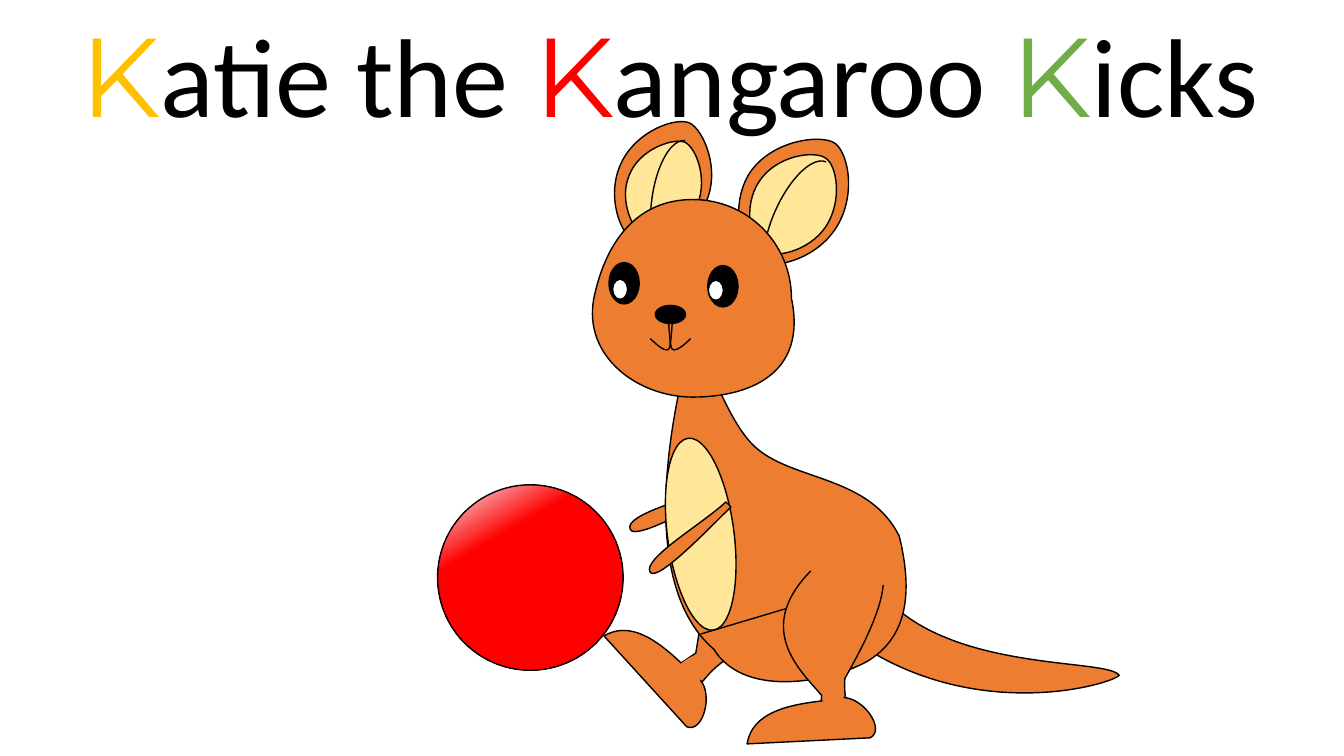
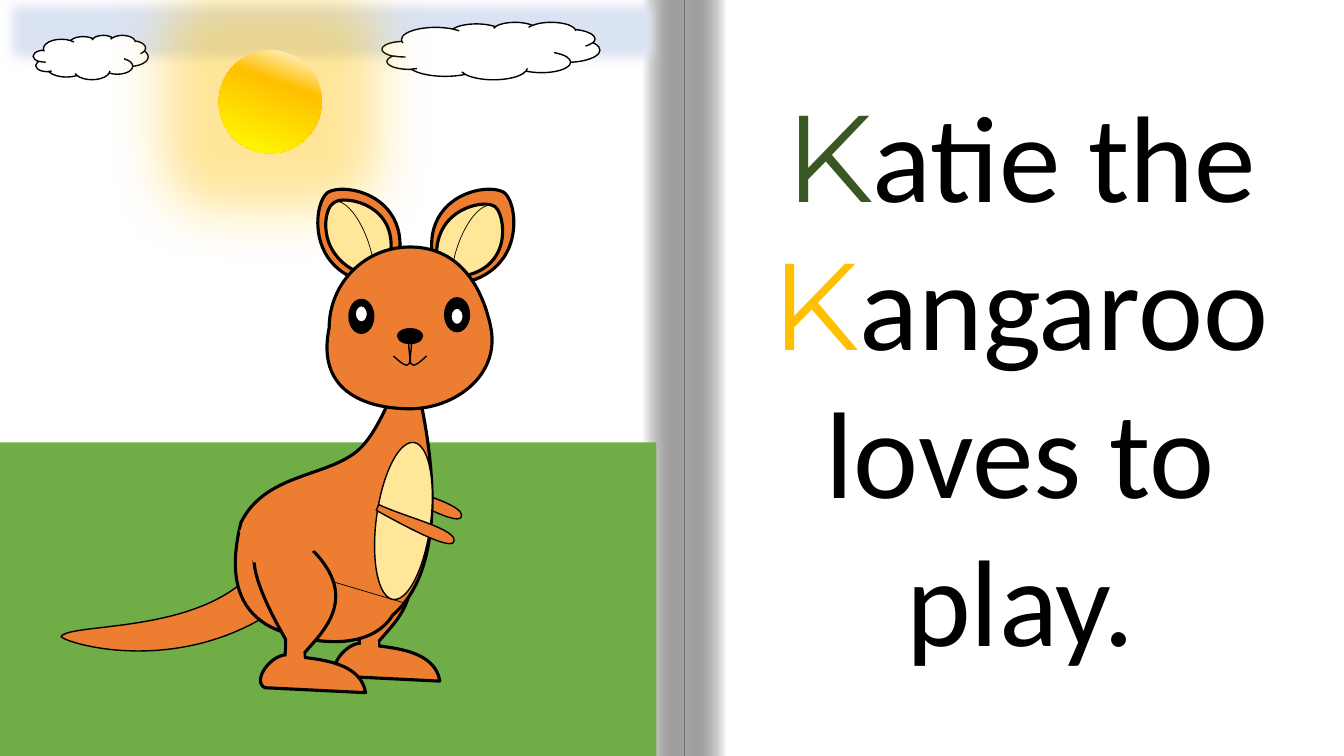
from dataclasses import dataclass
from math import cos, radians, sin

from lxml.etree import SubElement
from pptx import Presentation
from pptx.dml.color import RGBColor
from pptx.enum.shapes import MSO_CONNECTOR, MSO_SHAPE
from pptx.enum.text import MSO_ANCHOR, MSO_AUTO_SIZE, PP_ALIGN
from pptx.oxml.ns import qn
from pptx.util import Inches, Pt

W, H = 13.33, 7.5
BLACK = RGBColor(0x00, 0x00, 0x00)
WHITE = RGBColor(0xFF, 0xFF, 0xFF)
FUR = RGBColor(0xED, 0x7D, 0x31)
CREAM = RGBColor(0xFF, 0xE6, 0x99)
RED = RGBColor(0xFF, 0x00, 0x00)
SHINE = RGBColor(0xF6, 0xF8, 0xFC)
GOLD = RGBColor(0xFF, 0xC0, 0x00)
YELLOW = RGBColor(0xFF, 0xFF, 0x00)
GREEN = RGBColor(0x70, 0xAD, 0x47)
DARK_GREEN = RGBColor(0x38, 0x57, 0x23)
SKY = RGBColor(0xDA, 0xE3, 0xF3)


@dataclass
class Outline:
    """A start point, then lines (x, y) and curves (x1, y1, x2, y2, x, y); turn tilts its frame."""
    segs: tuple
    turn: float = 0

    def shift(self, dx, dy):
        return Outline(tuple(tuple(v + (dy if i % 2 else dx) for i, v in enumerate(seg))
                             for seg in self.segs), self.turn)

    def mirror(self, axis):
        return Outline(tuple(tuple(v if i % 2 else 2 * axis - v for i, v in enumerate(seg))
                             for seg in self.segs), -self.turn)


# Outlines on a grid of W columns by H rows.
TAIL = Outline(((8.68, 5.8), (9.29, 6.69, 10.98, 6.52, 11.1, 6.7),
                (11.05, 6.78, 9.63, 7.22, 8.39, 6.3), (8.68, 5.8)), 30.5)
BODY = Outline(((8.62, 6.55), (8.31, 6.74, 7.4, 6.96, 7.08, 6.44),
                (6.23, 5.71, 6.76, 3.76, 6.84, 3.43), (6.91, 3.1, 7.14, 4.16, 7.52, 4.46),
                (7.9, 4.77, 8.63, 4.73, 8.92, 5.32), (9.09, 6.01, 8.92, 6.36, 8.62, 6.55)), -29.7)
HEAD = Outline(((5.89, 2.96), (6.01, 2.38, 6.33, 1.98, 6.87, 1.98),
                (7.42, 1.98, 7.85, 2.42, 7.85, 2.96), (8.01, 3.72, 7.42, 3.94, 6.87, 3.94),
                (6.33, 3.94, 5.78, 3.54, 5.89, 2.96)))
HIP = Outline(((8.94, 5.41), (8.07, 5.34, 8.12, 5.57, 7.99, 5.62),
               (7.97, 5.68, 8.62, 5.83, 8.77, 5.8), (8.94, 5.41)), -83.7)
THIGH = Outline(((8.12, 5.59), (8.55, 5.5), (8.89, 5.56, 8.81, 5.98, 8.38, 6.73),
                 (8.36, 7.01, 8.47, 7.12, 8.4, 7.22), (8.36, 7.18, 8.15, 7.32, 8.11, 7.28),
                 (8.15, 6.9), (7.94, 6.65, 7.43, 6.21, 8.12, 5.59)))
FOOT = Outline(((7.41, 7.38), (7.48, 6.94, 8.17, 6.98, 8.35, 6.92),
                (8.56, 6.91, 8.79, 7.24, 8.63, 7.32), (7.41, 7.38)))
ANKLE = Outline(((8.34, 6.67), (8.11, 6.74, 8.18, 6.94, 8.15, 7),
                 (8.16, 7.06, 8.35, 7.1, 8.38, 7.05), (8.34, 6.67)), -105)
ARM = Outline(((7.16, 4.8), (7.19, 4.87), (7.04, 4.95, 6.29, 5.38, 6.25, 5.25),
               (6.19, 5.1, 6.85, 4.95, 7.16, 4.8)), 63.6)
MOUTH = Outline(((0, 0.03), (0.07, 0.1, -0.13, 0.56, 0.2, 0.24)))

KICK_THIGH = Outline(((7.9, 5.63), (8.24, 5.9), (8.41, 6.19, 8.03, 6.4, 7.19, 6.55),
                      (6.96, 6.71, 6.94, 6.86, 6.82, 6.87), (6.83, 6.82, 6.58, 6.74, 6.59, 6.69),
                      (6.9, 6.48), (6.96, 6.16, 6.98, 5.49, 7.9, 5.63)), 50.5)
KICK_FOOT = Outline(((5.99, 6.31), (6.37, 6.08, 6.78, 6.64, 6.94, 6.74),
                     (7.08, 6.89, 6.97, 7.28, 6.81, 7.21), (5.99, 6.31)), 50.5)
KICK_ANKLE = Outline(((7.12, 6.55), (6.87, 6.41, 6.77, 6.59, 6.71, 6.62),
                      (6.67, 6.66, 6.8, 6.84, 6.87, 6.83), (7.12, 6.55)), -54.9)
KICK_ARM = Outline(((7.2, 4.98), (7.25, 5.03), (7.12, 5.15, 6.53, 5.78, 6.45, 5.68),
                    (6.36, 5.55, 6.95, 5.21, 7.2, 4.98)), 46.6)
KICK_NEAR_EAR = Outline(((8.28, 2.28), (8.5, 1.96, 8.42, 1.52, 8.28, 1.42),
                         (8.14, 1.33, 7.66, 1.39, 7.44, 1.71), (7.23, 2.03, 7.35, 2.49, 7.49, 2.59),
                         (7.63, 2.68, 8.06, 2.6, 8.28, 2.28)), 34)
KICK_NEAR_INNER = Outline(((8.19, 2.25), (8.36, 1.99, 8.3, 1.64, 8.19, 1.57),
                           (8.08, 1.49, 7.7, 1.54, 7.53, 1.8), (7.36, 2.05, 7.45, 2.42, 7.56, 2.49),
                           (7.67, 2.57, 8.02, 2.5, 8.19, 2.25)), 34)
KICK_FAR_EAR = Outline(((6.16, 1.62), (6.31, 1.3, 6.7, 1.16, 6.84, 1.22),
                        (6.98, 1.29, 7.15, 1.69, 7, 2.01), (6.85, 2.33, 6.43, 2.45, 6.29, 2.39),
                        (6.15, 2.32, 6.01, 1.94, 6.16, 1.62)), 25.3)
KICK_FAR_INNER = Outline(((6.92, 2.02), (7.02, 1.76, 6.9, 1.46, 6.79, 1.41),
                          (6.67, 1.37, 6.34, 1.48, 6.24, 1.74), (6.13, 2, 6.29, 2.31, 6.4, 2.36),
                          (6.52, 2.41, 6.81, 2.28, 6.92, 2.02)), 21.9)
STAND_EAR = Outline(((5.73, 2.1), (5.54, 1.81, 5.61, 1.41, 5.73, 1.32),
                     (5.87, 1.23, 6.3, 1.28, 6.5, 1.58), (6.7, 1.87, 6.59, 2.3, 6.45, 2.38),
                     (6.33, 2.47, 5.93, 2.4, 5.73, 2.1)), -34)
STAND_FAR_INNER = Outline(((6.43, 1.69), (6.26, 1.47, 5.94, 1.42, 5.84, 1.49),
                           (5.75, 1.56, 5.68, 1.91, 5.86, 2.13), (6.03, 2.35, 6.37, 2.37, 6.47, 2.3),
                           (6.56, 2.22, 6.6, 1.91, 6.43, 1.69)), -37.3)
STAND_NEAR_INNER = Outline(((7.79, 2.05), (7.95, 1.82, 7.9, 1.5, 7.79, 1.44),
                            (7.69, 1.37, 7.35, 1.42, 7.19, 1.65), (7.03, 1.88, 7.11, 2.21, 7.22, 2.29),
                            (7.32, 2.36, 7.62, 2.3, 7.79, 2.05)), 34)


@dataclass
class Pose:
    """The parts that move: an ear is (outer, inner, vein centre, turn, flipped)."""
    near_ear: tuple
    far_ear: tuple
    far_leg: tuple
    near_arm: Outline
    eyes: tuple
    pupils: tuple
    nose: tuple


KICKING = Pose((KICK_NEAR_EAR, KICK_NEAR_INNER, (7.93, 2.19), 24.3, True),
               (KICK_FAR_EAR, KICK_FAR_INNER, (6.72, 2.03), 6.7, True),
               (KICK_THIGH, KICK_FOOT, KICK_ANKLE), KICK_ARM,
               ((7.17, 2.84), (6.19, 2.81)), ((6.15, 2.87), (7.1, 2.88)), (6.65, 3.12))
STANDING = Pose((STAND_EAR.mirror(6.8), STAND_NEAR_INNER, (7.61, 2.04), 17.3, True),
                (STAND_EAR, STAND_FAR_INNER, (6.06, 2.09), -17.3, False),
                tuple(part.shift(-0.9, -0.14) for part in (THIGH, FOOT, ANKLE)),
                ARM.shift(0.09, 0.3),
                ((7.46, 2.82), (6.3, 2.8)), ((6.3, 2.82), (7.46, 2.79)), (6.87, 3.06))


def rotate(point, degrees):
    (x, y), a = point, radians(degrees)
    return x * cos(a) - y * sin(a), x * sin(a) + y * cos(a)


def bezier(ends, t):
    weights = ((1 - t) ** 3, 3 * t * (1 - t) ** 2, 3 * t * t * (1 - t), t ** 3)
    return tuple(int(sum(w * e[axis] for w, e in zip(weights, ends))) for axis in (0, 1))


def add_outline(s, segs, turn):
    """Add a curved freeform from segments that are lists of points in EMU."""
    segs = [[rotate(p, -turn) for p in seg] for seg in segs]
    reach = [bezier([a[-1], *b], k / 40) if len(b) == 3 else tuple(map(int, b[0]))
             for a, b in zip(segs, segs[1:]) for k in range(41)]
    builder = s.shapes.build_freeform(*map(int, segs[0][0]), scale=1.0)
    builder.add_line_segments(reach, close=False)
    sp = builder.convert_to_shape()
    left, top = sp.left, sp.top
    track = next(sp._element.iter(qn("a:path")))
    for node in list(track):
        track.remove(node)
    for i, seg in enumerate(segs):
        name = "a:cubicBezTo" if len(seg) == 3 else "a:lnTo" if i else "a:moveTo"
        node = SubElement(track, qn(name))
        for x, y in seg:
            SubElement(node, qn("a:pt"), x=str(round(x - left)), y=str(round(y - top)))
    if max(abs(a - b) for a, b in zip(segs[0][0], segs[-1][-1])) < 1:
        SubElement(track, qn("a:close"))
    x, y = rotate((left + sp.width / 2, top + sp.height / 2), turn)
    sp.left, sp.top = int(x - sp.width / 2), int(y - sp.height / 2)
    sp.rotation = turn % 360
    return sp


def paint(sp, fill=None, width=0, line=BLACK):
    sp.shadow.inherit = False
    if fill is None:
        sp.fill.background()
    else:
        sp.fill.solid()
        sp.fill.fore_color.rgb = fill
    if width:
        sp.line.color.rgb = line
        sp.line.width = Pt(width)
    else:
        sp.line.fill.background()
    return sp


def preset(s, kind, box, fill=None, width=0, line=BLACK):
    return paint(s.shapes.add_shape(kind, *map(Inches, box)), fill, width, line)


def add_colour(parent, colour, alpha=100):
    clr = SubElement(parent, qn("a:srgbClr"), val=str(colour))
    if alpha < 100:
        SubElement(clr, qn("a:alpha"), val=str(alpha * 1000))


def gradient(sp, angle, *stops):
    """Fill with stops (position, colour[, alpha]), in percent."""
    sp.fill.gradient()
    grad = sp._element.spPr.find(qn("a:gradFill"))
    grad.find(qn("a:lin")).set("ang", str(angle * 60000))
    gs_list = grad.find(qn("a:gsLst"))
    for gs in list(gs_list):
        gs_list.remove(gs)
    for position, *colour in stops:
        add_colour(SubElement(gs_list, qn("a:gs"), pos=str(position * 1000)), *colour)


def effect(sp, name, radius):
    return SubElement(sp._element.spPr.find(qn("a:effectLst")), qn(name), rad=str(Pt(radius)))


def kangaroo(s, box, pose, mirrored=False, bold=1, fine=1):
    """Draw the kangaroo with its grid of W by H stretched over the box."""
    left, top, width, height = box
    sx, sy, hand = width / W, height / H, -1 if mirrored else 1

    def at(x, y):
        return Inches(left + sx * (W - x if mirrored else x)), Inches(top + sy * y)

    def outline(shape, fill=FUR, weight=bold):
        segs = [[at(*seg[i:i + 2]) for i in range(0, len(seg), 2)] for seg in shape.segs]
        paint(add_outline(s, segs, hand * shape.turn), fill, weight)

    def centred(kind, centre, w, h, fill=None, weight=1, turn=0):
        x, y = at(*centre)
        w, h = Inches(w * sx), Inches(h * sy)
        sp = s.shapes.add_shape(kind, int(x - w / 2), int(y - h / 2), w, h)
        sp.rotation = hand * turn % 360
        return paint(sp, fill, weight)

    def ear(outer, inner, centre, turn, flipped):
        outline(outer)
        outline(inner, CREAM)
        vein = centred(MSO_SHAPE.ARC, centre, 0.52, 1.28, None, fine, turn)
        ends = (78, 162) if flipped != mirrored else (162, 30)
        vein.adjustments[0], vein.adjustments[1] = ends

    ear(*pose.near_ear)
    outline(ARM, weight=1)
    ear(*pose.far_ear)
    outline(TAIL, weight=1)
    far_thigh, far_foot, far_ankle = pose.far_leg
    outline(far_thigh)
    outline(far_foot)
    outline(far_ankle, weight=0)
    for part in (BODY, THIGH, FOOT):
        outline(part)
    centred(MSO_SHAPE.OVAL, (6.95, 5.3), 0.66, 1.92, CREAM, turn=-7.5)
    crease = s.shapes.add_connector(MSO_CONNECTOR.STRAIGHT, *at(6.95, 6.29), *at(7.79, 6.04))
    crease.line.color.rgb = BLACK
    crease.line.width = Pt(fine)
    SubElement(crease._element.spPr, qn("a:effectLst"))
    outline(HEAD)
    outline(HIP, weight=0)
    for spots, w, h, fill in ((pose.eyes, 0.3, 0.41, BLACK), (pose.pupils, 0.15, 0.2, WHITE),
                              ((pose.nose,), 0.3, 0.18, BLACK)):
        for spot in spots:
            centred(MSO_SHAPE.OVAL, spot, w, h, fill)
    for half in (MOUTH, MOUTH.mirror(0)):
        outline(half.shift(*pose.nose), None, 1)
    outline(ANKLE, weight=0)
    outline(pose.near_arm, weight=1)


def story_slide(prs, box, size, *pieces):
    """Add a white page whose title has a coloured K before each piece."""
    s = prs.slides.add_slide(prs.slide_layouts[5])
    s.background.fill.solid()
    s.background.fill.fore_color.rgb = BLACK
    page = preset(s, MSO_SHAPE.RECTANGLE, (0, 0, W, H), WHITE)
    title = s.shapes.title
    page._element.addnext(title._element)
    title.left, title.top, title.width, title.height = map(Inches, box)
    tf = title.text_frame
    tf.word_wrap = True
    tf.auto_size = MSO_AUTO_SIZE.NONE
    tf.vertical_anchor = MSO_ANCHOR.TOP
    p = tf.paragraphs[0]
    p.alignment = PP_ALIGN.CENTER
    for colour, rest in pieces:
        for text, font, c in (("K", "Montserrat", colour), (rest, "Calibri", BLACK)):
            r = p.add_run()
            r.text = text
            r.font.name, r.font.size, r.font.color.rgb = font, Pt(size), c
    return s


def book_fold(s, middle, width):
    for left, angle in ((middle, 180), (middle - width, 0)):
        page_edge = preset(s, MSO_SHAPE.RECTANGLE, (left, 0, width, H))
        gradient(page_edge, angle, (0, WHITE), (100, BLACK, 34))


def meadow(s, width, horizon):
    sky = preset(s, MSO_SHAPE.RECTANGLE, (-0.05, -0.12, width + 0.15, 0.85), SKY, 1, SKY)
    effect(sky, "a:softEdge", 11)
    for cloud in ((0.33, 0.35, 1.14, 0.44), (3.79, 0.22, 2.16, 0.57)):
        preset(s, MSO_SHAPE.CLOUD, cloud, WHITE, 1)
    preset(s, MSO_SHAPE.RECTANGLE, (-0.01, horizon, width, 4.16), GREEN)
    sun = preset(s, MSO_SHAPE.OVAL, (2.17, 0.5, 1.02, 1.02))
    gradient(sun, 110, (0, WHITE), (34, GOLD), (100, YELLOW))
    add_colour(effect(sun, "a:glow", 80), GOLD, 40)


def main():
    prs = Presentation()
    prs.slide_width, prs.slide_height = Inches(W), Inches(H)

    s = story_slide(prs, (-0.46, 0, 14.2, 1.45), 80, (GOLD, "atie the "),
                    (RED, "angaroo "), (GREEN, "icks"))
    kangaroo(s, (0, 0, W, H), KICKING)
    ball = preset(s, MSO_SHAPE.OVAL, (4.34, 4.81, 1.84, 1.84), RED, 1)
    gradient(ball, 60, (0, SHINE), (30, RED))

    s = story_slide(prs, (6.98, 0.74, 6.28, 6.02), 88, (DARK_GREEN, "atie the "),
                    (GOLD, "angaroo loves to play."))
    book_fold(s, 6.79, 0.42)
    meadow(s, 6.52, 4.39)
    kangaroo(s, (-1.22, 0.83, 10.91, 6.14), STANDING, mirrored=True, bold=2.25, fine=0.5)

    prs.save("out.pptx")


if __name__ == "__main__":
    main()
